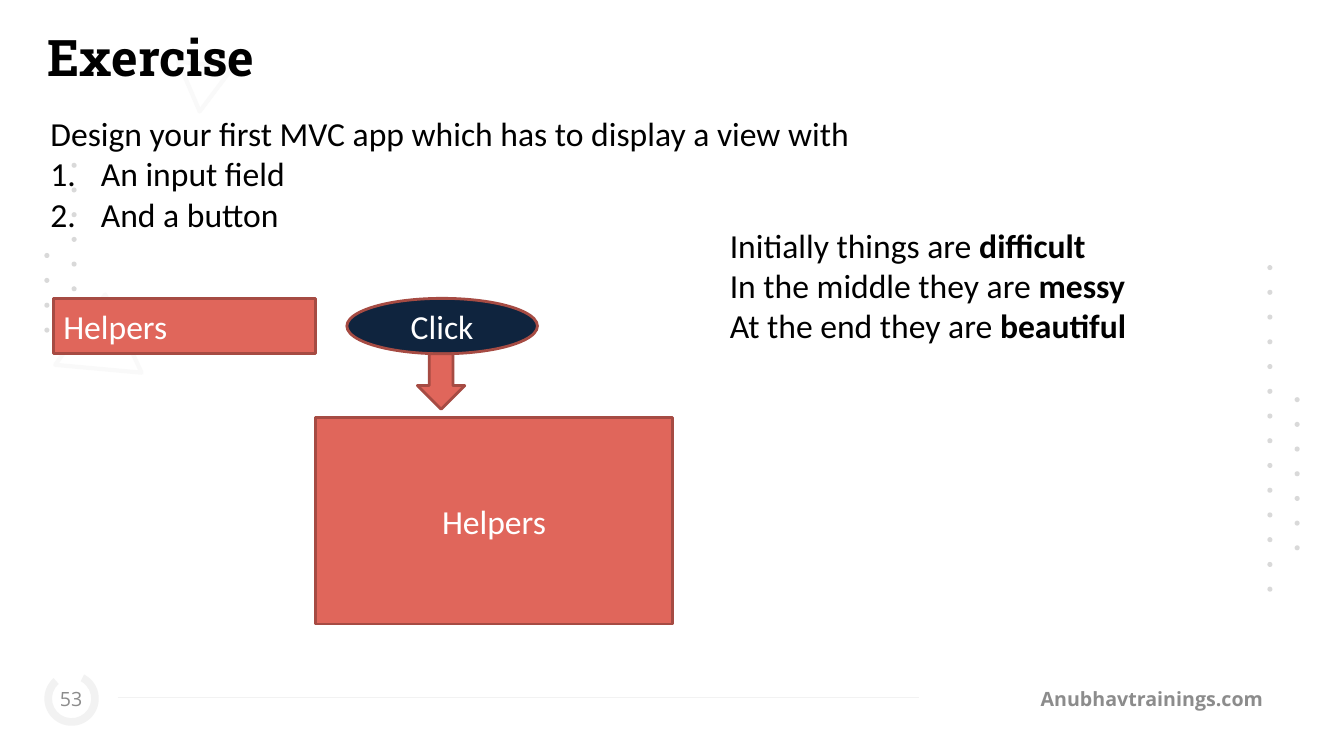
from lxml.etree import SubElement as Sub
from pptx import Presentation
from pptx.dml.color import RGBColor
from pptx.enum.shapes import MSO_CONNECTOR as Link, MSO_SHAPE as Kind
from pptx.enum.text import MSO_ANCHOR as Anchor, MSO_AUTO_SIZE as Fit, PP_ALIGN as Align
from pptx.oxml.ns import qn
from pptx.util import Inches, Pt

BLACK = RGBColor(0x00, 0x00, 0x00)
WHITE = RGBColor(0xFF, 0xFF, 0xFF)
CORAL = RGBColor(0xE0, 0x66, 0x5B)
BRICK = RGBColor(0xA6, 0x4B, 0x43)
NAVY = RGBColor(0x0F, 0x24, 0x3E)
GRAY = RGBColor(0x8C, 0x8C, 0x8C)
SILVER = RGBColor(0xD9, 0xD9, 0xD9)
PALE = RGBColor(0xF2, 0xF2, 0xF2)

# left, first top, last top, count
DOTS = [
    (12.84, 3.94, 5.41, 7),
    (12.57, 2.63, 5.82, 14),
    (0.71, 1.37, 2.84, 7),
    (0.44, 2.51, 3.25, 4),
]
TASKS = ["An input field", "And a button"]
ENTRY = "Helpers"
STAGES = [
    ("Initially things are ", "difficult"),
    ("In the middle they are ", "messy"),
    ("At the end they are ", "beautiful"),
]


def add_run(para, text, size=24, face="Calibri", color=BLACK, bold=False):
    run = para.add_run()
    run.text = text
    font = run.font
    font.size, font.name, font.bold = Pt(size), face, bold
    font.color.rgb = color


def add_shape(slide, kind, box, fill=None, edge=None, width=2):
    shape = slide.shapes.add_shape(kind, *map(Inches, box))
    shape.shadow.inherit = False
    if fill is None:
        shape.fill.background()
    else:
        shape.fill.solid()
        shape.fill.fore_color.rgb = fill
    if edge is None:
        shape.line.fill.background()
    else:
        shape.line.color.rgb = edge
        shape.line.width = Pt(width)
    return shape


def add_label(slide, kind, box, fill, text, align):
    frame = add_shape(slide, kind, box, fill, BRICK).text_frame
    frame.word_wrap = True
    frame.vertical_anchor = Anchor.MIDDLE
    para = frame.paragraphs[0]
    para.alignment = align
    add_run(para, text, color=WHITE)


def add_outline(slide, box, angle):
    """Add a faint, see-through triangle outline."""
    shape = add_shape(slide, Kind.ISOSCELES_TRIANGLE, box, edge=SILVER, width=3)
    shape.rotation = angle
    color = shape.element.spPr.find(qn("a:ln")).find(".//" + qn("a:srgbClr"))
    Sub(color, qn("a:alpha"), val="14000")


def add_dots(slide, left, first, last, count):
    step = (last - first) / (count - 1)
    for i in range(count):
        add_shape(slide, Kind.OVAL, (left, first + i * step, 0.05, 0.05), SILVER)


def add_text(slide, box):
    frame = slide.shapes.add_textbox(*map(Inches, box)).text_frame
    frame.word_wrap = True
    return frame


def add_footer(slide, box, text, align, side, bold=False):
    frame = add_text(slide, box)
    frame.vertical_anchor = Anchor.MIDDLE
    frame.margin_left = frame.margin_right = Inches(side)
    frame.margin_top = frame.margin_bottom = Inches(0.07)
    para = frame.paragraphs[0]
    para.alignment = align
    add_run(para, text, 14, "Open Sans", GRAY, bold)


def add_rule(slide, left, right, top):
    ends = map(Inches, (left, top, right, top))
    rule = slide.shapes.add_connector(Link.STRAIGHT, *ends)
    rule.line.color.rgb = PALE
    rule.line.width = Pt(0.75)
    Sub(rule.element.spPr, qn("a:effectLst"))


def place(slide, holder, box):
    """Move a placeholder to its box, in front of the shapes so far."""
    holder.left, holder.top, holder.width, holder.height = map(Inches, box)
    slide.shapes.element.append(holder.element)
    frame = holder.text_frame
    frame.word_wrap = True
    frame.auto_size = Fit.NONE
    frame.vertical_anchor = Anchor.TOP
    return frame


def add_item(para, text, number=False):
    para.space_before = Pt(0)
    props = para._p.get_or_add_pPr()
    indent = Inches(0.5) if number else 0
    props.set("marL", str(indent))
    props.set("indent", str(-indent))
    if number:
        Sub(props, qn("a:buFont"), typeface="+mj-lt")
        Sub(props, qn("a:buAutoNum"), type="arabicPeriod")
    else:
        Sub(props, qn("a:buNone"))
    add_run(para, text)


def add_decor(slide):
    ring = add_shape(slide, Kind.BLOCK_ARC, (0.44, 6.66, 0.54, 0.54), PALE)
    for i, value in enumerate((41.31, 0, 0.14)):
        ring.adjustments[i] = value
    ring.rotation = 228.7
    add_rule(slide, 1.17, 9.11, 6.92)
    add_outline(slide, (1.82, 0.53, 0.54, 0.47), 66.8)
    add_outline(slide, (0.58, 2.92, 0.86, 0.74), 5.2)
    for column in DOTS:
        add_dots(slide, *column)
    add_footer(slide, (9.26, 6.73, 3.4, 0.4), "Anubhavtrainings.com",
               Align.RIGHT, 0.13, True)
    add_footer(slide, (0.5, 6.73, 0.41, 0.4), "53", Align.CENTER, 0)


def add_body(slide, title, body):
    head = place(slide, title, (0.37, 0.21, 12.52, 0.71)).paragraphs[0]
    head.alignment = Align.LEFT
    add_run(head, "Exercise", 36, "Roboto Slab", bold=True)

    frame = place(slide, body, (0.4, 1.07, 12.52, 1.31))
    add_item(frame.paragraphs[0],
             "Design your first MVC app which has to display a view with")
    for task in TASKS:
        add_item(frame.add_paragraph(), task, True)


def add_sketch(slide):
    add_label(slide, Kind.RECTANGLE, (0.53, 2.96, 2.6, 0.55), CORAL,
              ENTRY, Align.LEFT)
    add_label(slide, Kind.OVAL, (3.44, 2.96, 1.89, 0.55), NAVY,
              "Click", Align.CENTER)
    add_label(slide, Kind.RECTANGLE, (3.13, 4.14, 3.54, 2.05), CORAL,
              ENTRY, Align.CENTER)
    add_shape(slide, Kind.DOWN_ARROW, (4.14, 3.51, 0.47, 0.55), CORAL, BRICK)


def add_quote(slide):
    frame = add_text(slide, (7.14, 2.18, 4.96, 1.31))
    for i, (lead, word) in enumerate(STAGES):
        para = frame.add_paragraph() if i else frame.paragraphs[0]
        add_run(para, lead)
        add_run(para, word, bold=True)


def main():
    deck = Presentation()
    deck.slide_width, deck.slide_height = Inches(13.33), Inches(7.5)
    slide = deck.slides.add_slide(deck.slide_layouts[1])
    title, body = slide.placeholders
    add_decor(slide)
    add_body(slide, title, body)
    add_sketch(slide)
    add_quote(slide)
    deck.save("out.pptx")


if __name__ == "__main__":
    main()
